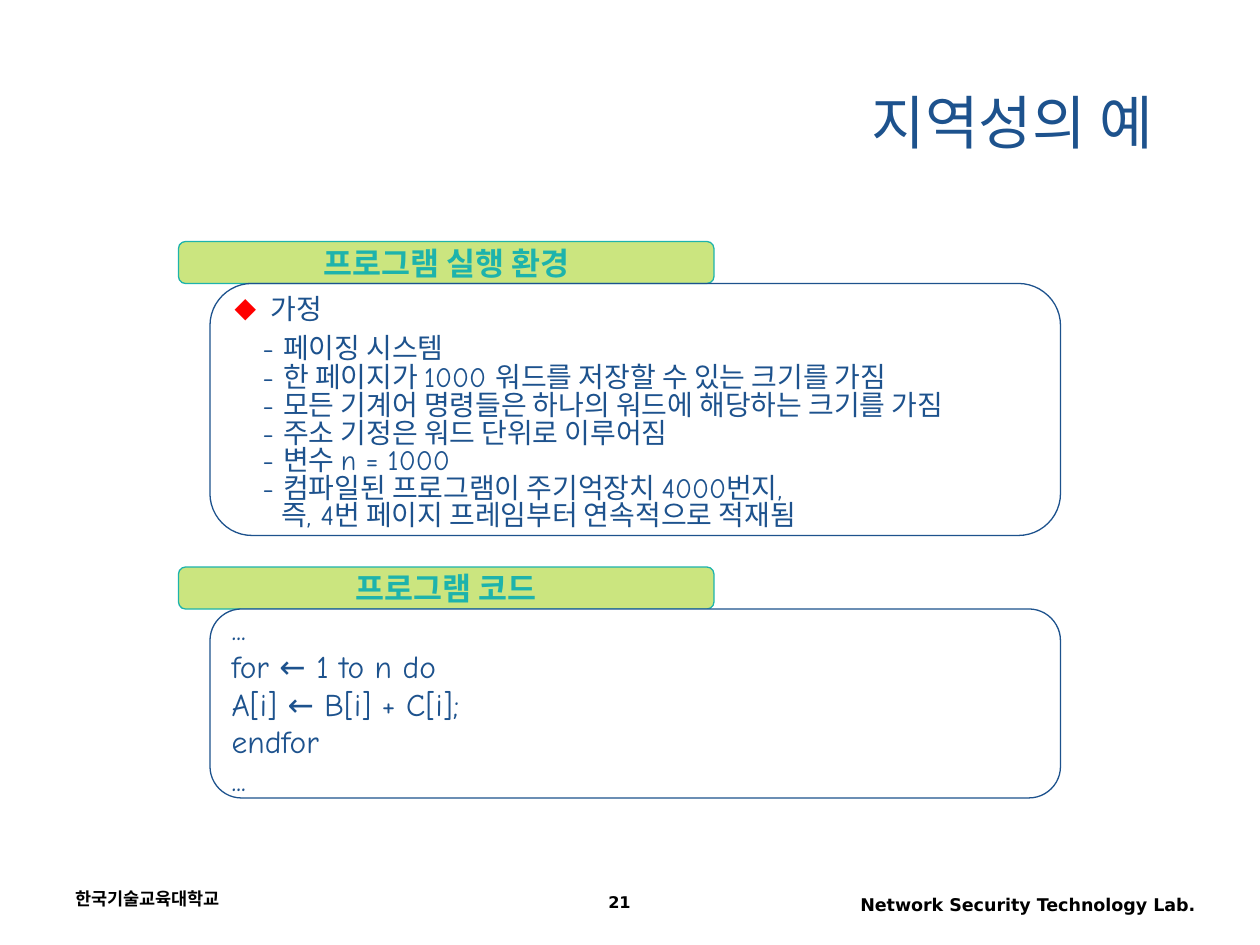
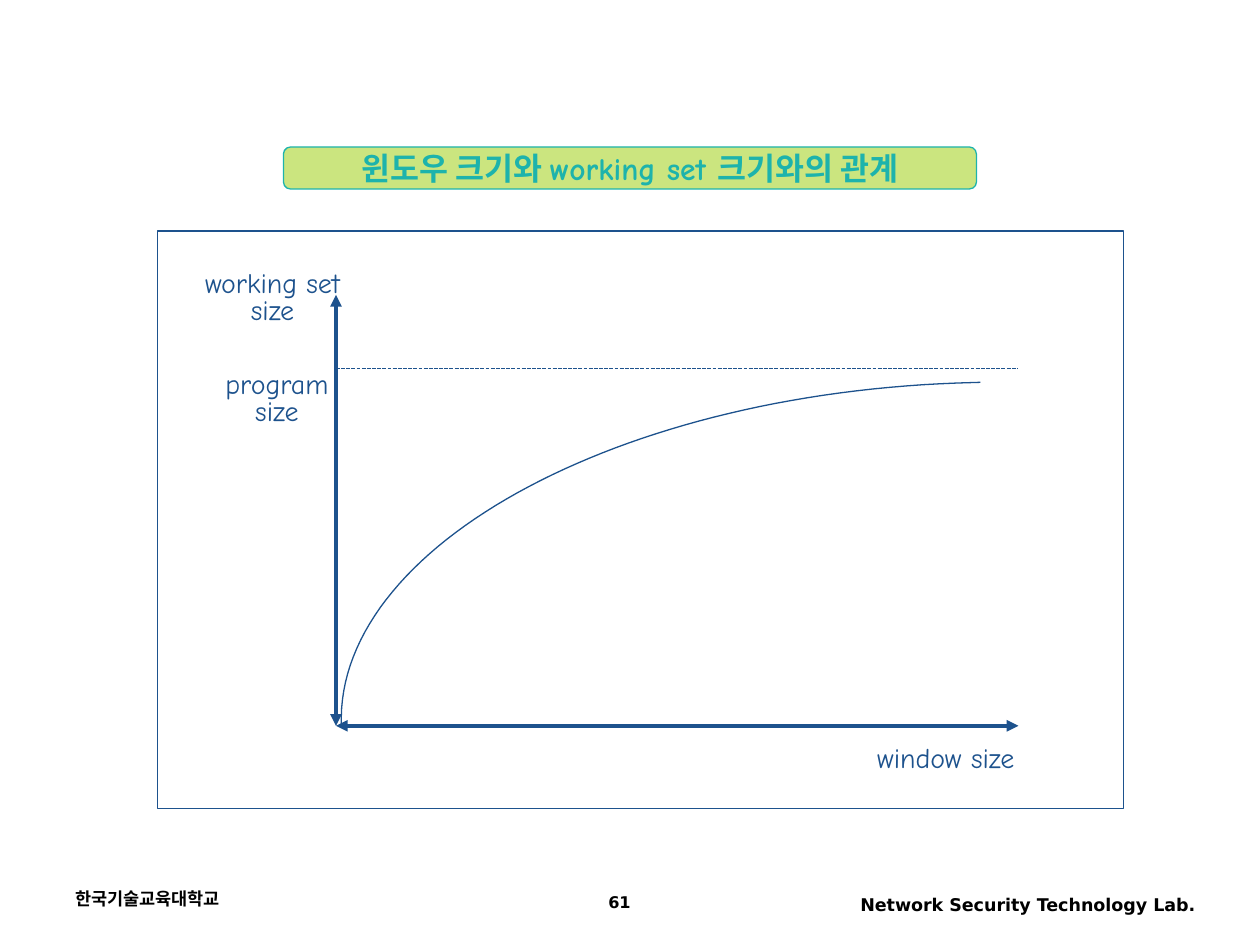
from lxml import etree
from pptx import Presentation
from pptx.dml.color import RGBColor
from pptx.enum.dml import MSO_LINE
from pptx.enum.shapes import MSO_CONNECTOR, MSO_SHAPE as SHP
from pptx.enum.text import MSO_ANCHOR, PP_ALIGN as AL
from pptx.oxml.ns import qn
from pptx.util import Pt

COLORS = {"blue": "1D528D", "teal": "1DB3AC", "lime": "99CC00",
          "red": "FF0000", "black": "000000", "white": "FFFFFF"}
RGB = {name: RGBColor.from_string(value) for name, value in COLORS.items()}
KOREAN = "Noto Sans CJK KR"
SYMBOLS = "DejaVu Sans"

# Text styles
TITLE = {"name": KOREAN, "size": Pt(33.3), "color": "blue"}
FOOTER = {"name": "DejaVu Sans", "size": Pt(10), "bold": True, "color": "black"}
NUMBER = {**FOOTER, "size": Pt(9.2)}
BANNER = {"name": "Arial Narrow", "size": Pt(18), "bold": True, "color": "teal"}
BODY = {"name": "Comic Neue", "size": Pt(16), "color": "blue"}
CODE = {**BODY, "size": Pt(18)}


def write(sp, lines, font, align=AL.LEFT, anchor=MSO_ANCHOR.TOP, wrap=True):
    """Fill a shape with (text, paragraph format) lines in one font."""
    tf = sp.text_frame
    tf.word_wrap, tf.vertical_anchor = wrap, anchor
    for i, (text, fmt) in enumerate(lines):
        p = tf.paragraphs[0] if i == 0 else tf.add_paragraph()
        p.alignment = align
        for key, value in fmt.items():
            if key in ("marL", "indent"):
                p._p.get_or_add_pPr().set(key, str(int(value)))
            elif key != "bullet":
                setattr(p, key, value)
        if "bullet" in fmt:
            pPr = p._p.get_or_add_pPr()
            clr = etree.SubElement(pPr, qn("a:buClr"))
            etree.SubElement(clr, qn("a:srgbClr"), val=COLORS["red"])
            etree.SubElement(pPr, qn("a:buFont"), typeface=SYMBOLS)
            etree.SubElement(pPr, qn("a:buChar"), char=fmt["bullet"])
        r = p.add_run()
        r.text = text
        for key, value in font.items():
            if key == "color":
                r.font.color.rgb = RGB[value]
            else:
                setattr(r.font, key, value)
        etree.SubElement(r._r.get_or_add_rPr(), qn("a:ea"), typeface=KOREAN)


def add_box(s, kind, rect, line="blue", fill=None, alpha=None):
    sp = s.shapes.add_shape(kind, *map(Pt, rect))
    sp.shadow.inherit = False
    sp.line.color.rgb, sp.line.width = RGB[line], Pt(0.75)
    if fill is None:
        sp.fill.background()
    else:
        sp.fill.solid()
        sp.fill.fore_color.rgb = RGB[fill]
    if alpha:
        clr = sp._element.spPr.find(qn("a:solidFill"))[0]
        etree.SubElement(clr, qn("a:alpha"), val=str(alpha * 1000))
    return sp


prs = Presentation()
prs.slide_width, prs.slide_height = Pt(720), Pt(540)

# Shared footers and banners
SLIDES = [
    ("21", [("프로그램 실행 환경", (102, 138, 306, 24), BANNER),
            ("프로그램 코드", (102, 324, 306, 24), BANNER)]),
    ("61", [("윈도우 크기와 working set 크기와의 관계", (162, 84, 396, 24),
             {**BANNER, "name": "Comic Neue"})]),
]
for number, banners in SLIDES:
    s = prs.slides.add_slide(prs.slide_layouts[6])
    for text, rect, font, align, spacing in [
        ("한국기술교육대학교", (36, 504, 168, 24), FOOTER, AL.LEFT, 1.0),
        ("Network Security Technology Lab.", (462, 507.5, 228, 23), FOOTER, AL.RIGHT, 1.0),
        (number, (270, 507.5, 168, 20), NUMBER, AL.CENTER, 0.9),
    ]:
        write(s.shapes.add_textbox(*map(Pt, rect)),
              [(text, {"line_spacing": spacing})], font, align)
    for text, rect, font in banners:
        sp = add_box(s, SHP.FLOWCHART_ALTERNATE_PROCESS, rect, "teal", "lime", 50)
        write(sp, [(text, {})], font, AL.CENTER, MSO_ANCHOR.MIDDLE, False)
locality, working_set = prs.slides

# Slide 1: title
s = locality
write(s.shapes.add_textbox(Pt(54), Pt(48), Pt(612), Pt(48)),
      [("지역성의 예", {"line_spacing": 0.9})], TITLE, AL.RIGHT, MSO_ANCHOR.MIDDLE)

# Slide 1: assumptions
dash = {"line_spacing": 0.3, "space_before": Pt(10), "marL": Pt(16), "indent": 0}
assumptions = [
    ("가정", {"marL": Pt(20.5), "indent": -Pt(20.5), "bullet": "◆"}),
    ("- 페이징 시스템", {**dash, "line_spacing": 0.6}),
    ("- 한 페이지가 1000 워드를 저장할 수 있는 크기를 가짐", dash),
    ("- 모든 기계어 명령들은 하나의 워드에 해당하는 크기를 가짐", dash),
    ("- 주소 기정은 워드 단위로 이루어짐", dash),
    ("- 변수 n = 1000", dash),
    ("- 컴파일된 프로그램이 주기억장치 4000번지,", dash),
    ("즉, 4번 페이지 프레임부터 연속적으로 적재됨", {**dash, "marL": Pt(26.5)}),
]
sp = add_box(s, SHP.FLOWCHART_ALTERNATE_PROCESS, (120, 162, 486, 144))
write(sp, assumptions, BODY, anchor=MSO_ANCHOR.MIDDLE)

# Slide 1: code
code = ["...", "for ← 1 to n do", "A[i] ← B[i] + C[i];", "endfor", "..."]
sp = add_box(s, SHP.ROUNDED_RECTANGLE, (120, 348, 486, 108), fill="white")
write(sp, [(line, {}) for line in code], CODE, anchor=MSO_ANCHOR.MIDDLE)

# Slide 2: frame, axes and program size limit
s = working_set
add_box(s, SHP.RECTANGLE, (90, 132, 552, 330), fill="white")
left, right, top, base, limit = 192, 582, 168.5, 414.75, 210.75
for ends, width, is_axis in [
    ((left, base, left, top), 2.25, True),
    ((left, base, right, base), 2.25, True),
    ((left, limit, right, limit), 0.75, False),
]:
    line = s.shapes.add_connector(MSO_CONNECTOR.STRAIGHT, *map(Pt, ends))
    line.line.color.rgb, line.line.width = RGB["blue"], Pt(width)
    if is_axis:
        for end in ("a:headEnd", "a:tailEnd"):
            etree.SubElement(line.line._get_or_add_ln(), qn(end), type="triangle")
    else:
        line.line.dash_style = MSO_LINE.SQUARE_DOT
    etree.SubElement(line._element.spPr, qn("a:effectLst"))

# Slide 2: axis labels
for words, rect in [
    (["program", "size"], (121.5, 206, 73.5, 42)),
    (["working set", "size"], (110, 148.25, 91.5, 42)),
    (["window size"], (494, 419.5, 93, 26.5)),
]:
    lines = [(word, {"line_spacing": 0.8 if i else 1.0}) for i, word in enumerate(words)]
    write(s.shapes.add_textbox(*map(Pt, rect)), lines, BODY, AL.CENTER, wrap=False)

# Slide 2: working set curve, a cubic Bezier sampled in even steps
bezier = [(547.2, 218.9), (349.2, 226.1), (191.5, 313.9), (195.1, 414.7)]
steps = 60
points = []
for i in range(steps + 1):
    t = i / steps
    weights = ((1 - t) ** 3, 3 * t * (1 - t) ** 2, 3 * t * t * (1 - t), t ** 3)
    points.append([Pt(sum(w * c for w, c in zip(weights, axis))) for axis in zip(*bezier)])
path = s.shapes.build_freeform(Pt(560.2), Pt(218.5))
path.add_line_segments(points, close=False)
curve = path.convert_to_shape()
curve.shadow.inherit = False
curve.fill.background()
curve.line.color.rgb, curve.line.width = RGB["blue"], Pt(0.75)

prs.save("out.pptx")
